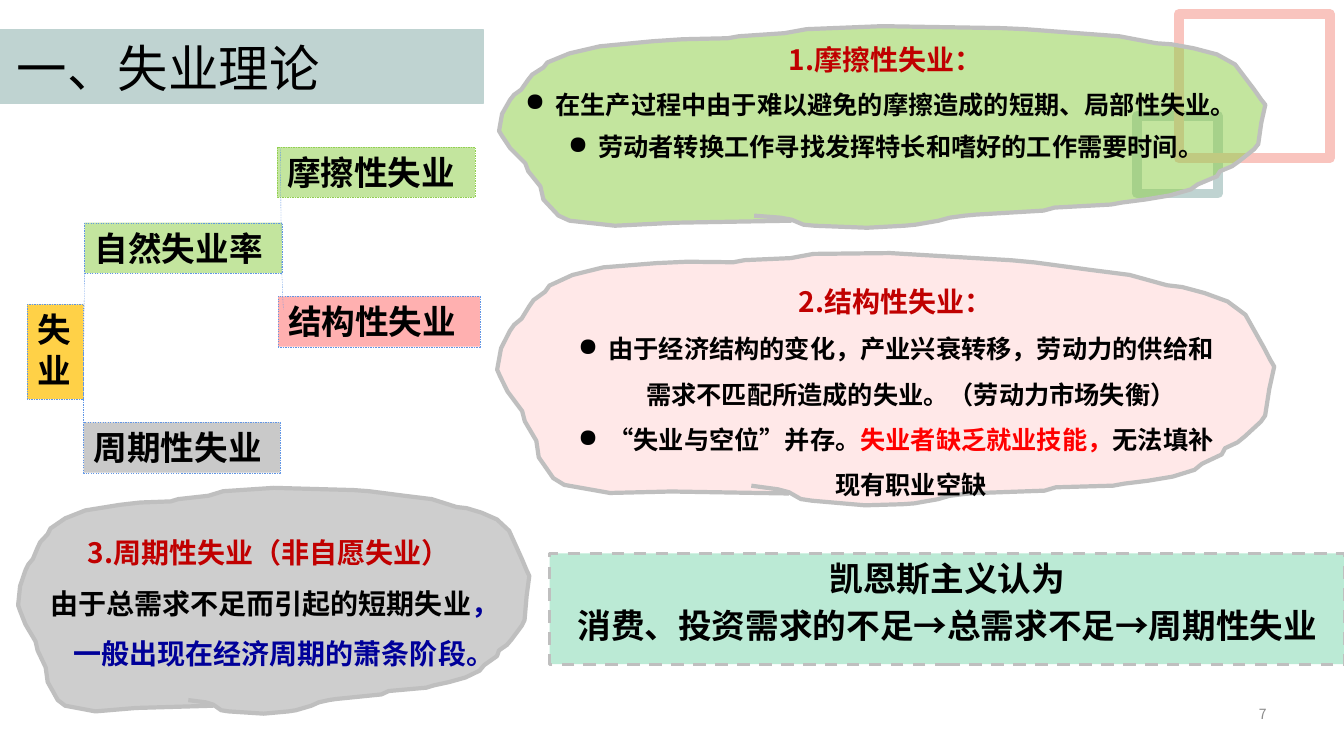
from dataclasses import dataclass

from lxml import etree
from pptx import Presentation
from pptx import util as u
from pptx.dml.color import RGBColor
from pptx.enum import dml, shapes, text
from pptx.oxml.ns import qn


@dataclass(frozen=True)
class Theme:
    font: str = "Noto Sans CJK SC"
    ink: str = "000000"
    title_bar: str = "BFD3D1"
    salmon: str = "F9C4BE"
    amber: str = "FFC000"
    gray: str = "A6A6A6"
    green: str = "92D050"
    red: str = "FF0000"
    heading: str = "C00000"
    navy: str = "000099"
    mint: str = "BBEAD5"
    blue_line: str = "6096E6"
    edge: str = "BFBFBF"
    number: str = "8C8C8C"
    title_size: int = 36
    label_size: int = 24
    heading_size: int = 20
    body_size: int = 18
    number_size: int = 10


T = Theme()
DASH = dml.MSO_LINE.DASH
CENTER, RIGHT = text.PP_ALIGN.CENTER, text.PP_ALIGN.RIGHT

# Cloud outline in hundredths of an inch, on a 760 by 200 field
CLOUD_FIELD = (760, 200)
CLOUD = [
    (290, 193), (175, 195), (115, 198), (70, 193), (59, 188), (44, 172), (41, 159),
    (33, 149), (29, 144), (26, 136), (11, 121), (3, 109), (0, 104), (3, 87), (11, 73),
    (15, 68), (22, 63), (29, 53), (33, 48), (44, 41), (48, 36), (70, 27), (100, 20),
    (152, 15), (182, 13), (227, 12), (238, 10), (283, 7), (305, 3), (380, 0), (499, 2),
    (522, 3), (574, 7), (615, 10), (652, 17), (667, 18), (689, 22), (712, 28), (730, 38),
    (749, 63), (756, 73), (760, 78), (756, 96), (753, 117), (749, 122), (734, 134),
    (727, 139), (715, 144), (712, 149), (693, 157), (686, 162), (665, 168), (641, 172),
    (618, 175), (607, 177), (551, 180), (540, 183), (473, 187), (462, 188), (447, 190),
    (436, 193), (413, 197), (402, 198), (365, 200), (313, 198), (302, 197), (290, 192),
    (279, 190), (253, 188),
]


def para(*runs, indent=None, bullet=None, **fmt):
    """A paragraph: runs are (text, size, colour, bold)."""
    return {"runs": runs, "indent": indent, "bullet": bullet, "fmt": fmt}


class Deck:
    def __init__(self, theme):
        self.t = theme
        self.prs = Presentation()
        self.prs.slide_width, self.prs.slide_height = u.Inches(13.33), u.Inches(7.5)
        self.s = self.prs.slides.add_slide(self.prs.slide_layouts[6])

    def paint(self, sp, fill, line, alpha=None, dash=None):
        sp.shadow.inherit = False
        if fill:
            sp.fill.solid()
            sp.fill.fore_color.rgb = RGBColor.from_string(fill)
            if alpha:
                color = sp._element.spPr.find(qn("a:solidFill"))[0]
                etree.SubElement(color, qn("a:alpha"), val=str(alpha * 1000))
        else:
            sp.fill.background()
        self.stroke(sp.line, *line, dash)
        return sp

    def stroke(self, line, color, width, dash):
        line.color.rgb = RGBColor.from_string(color)
        line.width = u.Pt(width)
        if dash:
            line.dash_style = dash

    def fill_text(self, sp, paras, anchor=text.MSO_ANCHOR.TOP):
        tf = sp.text_frame
        tf.word_wrap, tf.vertical_anchor = True, anchor
        for i, item in enumerate(paras):
            p = tf.add_paragraph() if i else tf.paragraphs[0]
            pPr = p._p.get_or_add_pPr()
            if item["indent"]:
                for key, inches in zip(("marL", "indent"), item["indent"]):
                    pPr.set(key, str(int(u.Inches(inches))))
            if item["bullet"]:
                etree.SubElement(pPr, qn("a:buChar"), char=item["bullet"])
            for key, value in {"alignment": text.PP_ALIGN.LEFT, **item["fmt"]}.items():
                setattr(p, key, value)
            for words, size, color, bold in item["runs"]:
                r = p.add_run()
                r.text = words
                for key, value in {"name": self.t.font, "size": u.Pt(size), "bold": bold}.items():
                    setattr(r.font, key, value)
                r.font.color.rgb = RGBColor.from_string(color)
                etree.SubElement(r._r.get_or_add_rPr(), qn("a:ea"), typeface=self.t.font)

    def textbox(self, at, paras, **kw):
        self.fill_text(self.s.shapes.add_textbox(*map(u.Inches, at)), paras, **kw)

    def rect(self, at, fill, line, paras=(), **kw):
        sp = self.s.shapes.add_shape(shapes.MSO_SHAPE.RECTANGLE, *map(u.Inches, at))
        self.paint(sp, fill, line, **kw)
        if paras:
            self.fill_text(sp, paras)
        return sp

    def cloud(self, at, fill, alpha, rotation=0):
        x, y, w, h = at
        pts = [(u.Inches(x + w * px / CLOUD_FIELD[0]), u.Inches(y + h * py / CLOUD_FIELD[1]))
               for px, py in CLOUD]
        fb = self.s.shapes.build_freeform(*pts[0])
        fb.add_line_segments(pts[1:], close=False)
        sp = self.paint(fb.convert_to_shape(), fill, (self.t.edge, 3), alpha)
        sp.rotation = rotation

    def link(self, start, end, joined=None):
        cx = self.s.shapes.add_connector(shapes.MSO_CONNECTOR.STRAIGHT, *map(u.Inches, start + end))
        if joined:
            cx.begin_connect(joined[0], 3)
            cx.end_connect(joined[1], 1)
        self.stroke(cx.line, self.t.blue_line, 0.25, DASH)
        etree.SubElement(cx._element.spPr, qn("a:effectLst"))


def main():
    d = Deck(T)
    hang = (0.3, -0.3)

    def heading(words, spacing):
        return para((words, T.heading_size, T.heading, True), indent=hang,
                    alignment=CENTER, line_spacing=spacing)

    def body(*runs, indent=hang, size=T.body_size, bullet="●", **fmt):
        return para(*[(words, size, color, True) for words, color in runs],
                    indent=indent, bullet=bullet, alignment=CENTER, **fmt)

    # Slide number, title and corner frames
    d.textbox((9.71, 6.91, 2.95, 0.35),
              [para(("7", T.number_size, T.number, False), alignment=RIGHT)],
              anchor=text.MSO_ANCHOR.MIDDLE)
    d.rect((0, 0.29, 4.79, 0.74), T.title_bar, (T.title_bar, 1))
    d.textbox((0.07, 0.32, 4.65, 0.71), [para(("一、失业理论", T.title_size, T.ink, False))])
    d.rect((11.28, 1.15, 0.8, 0.77), None, (T.title_bar, 7))
    d.rect((11.69, 0.14, 1.5, 1.43), None, (T.salmon, 7))

    # Tree of unemployment types
    tree = [
        ("失业", (0.27, 3.02, 0.56, 0.94), T.amber, 72, T.blue_line),
        ("周期性失业", (0.83, 4.19, 1.95, 0.5), T.gray, 60, T.blue_line),
        ("自然失业率", (0.84, 2.21, 1.96, 0.5), T.green, 55, T.blue_line),
        ("结构性失业", (2.76, 2.94, 2, 0.5), T.red, 31, T.blue_line),
        ("摩擦性失业", (2.75, 1.46, 1.96, 0.5), T.green, 55, T.green),
    ]
    node = {name: d.rect(at, fill, (line, 0.25), [para((name, T.label_size, T.ink, True))],
                         alpha=alpha, dash=DASH)
            for name, at, fill, alpha, line in tree}
    d.link((0.83, 3.49), (0.83, 4.44), (node["失业"], node["周期性失业"]))
    d.link((0.83, 3.49), (0.84, 2.46), (node["失业"], node["自然失业率"]))
    d.link((2.79, 2.57), (2.81, 3.07))
    d.link((2.79, 2.39), (2.78, 1.47))

    # 1. Frictional unemployment
    d.cloud((4.95, 0.26, 7.6, 2), T.green, 55)
    d.textbox((4.6, 0.44, 8.37, 1.28), [
        heading("1.摩擦性失业：", 0.8),
        body(("在生产过程中由于难以避免的摩擦造成的短期、局部性失业。", T.ink),
             indent=(0, -0.3), space_before=u.Pt(9)),
        body(("劳动者转换工作寻找发挥特长和嗜好的工作需要时间。", T.ink), space_before=u.Pt(9)),
    ])

    # 2. Structural unemployment
    d.cloud((4.93, 2.51, 7.7, 2.51), T.red, 9, rotation=2.2)
    d.textbox((5.56, 2.61, 6.65, 2.42), [
        heading("2.结构性失业：", 1.5),
        body(("由于经济结构的变化，产业兴衰转移，劳动力的供给和需求不匹配所造成的失业。"
              "（劳动力市场失衡）", T.ink), line_spacing=1.5),
        body(("“失业与空位”并存。", T.ink), ("失业者缺乏就业技能，", T.red),
             ("无法填补现有职业空缺", T.ink), line_spacing=1.5),
    ])

    # 3. Cyclical unemployment
    d.cloud((0.18, 4.84, 5.07, 2.24), T.gray, 54)
    d.textbox((0.24, 5.1, 4.85, 1.95), [
        heading("3.周期性失业（非自愿失业）", 1.5),
        body(("由于总需求不足而引起的短期失业", T.ink), ("，一般出现在经济周期的萧条阶段。", T.navy),
             indent=(0.3, -0.18), size=T.heading_size, bullet=None, line_spacing=1.5),
    ])

    # Keynesian view
    d.rect((5.45, 5.49, 7.89, 1.1), T.mint, (T.edge, 2.25), [
        para(("凯恩斯主义认为", T.label_size, T.ink, True), alignment=CENTER),
        para(("消费、投资需求的不足→总需求不足→周期性失业", T.label_size, T.ink, True),
             alignment=CENTER, space_before=u.Pt(4.8)),
    ], dash=DASH)

    d.prs.save("out.pptx")


if __name__ == "__main__":
    main()
